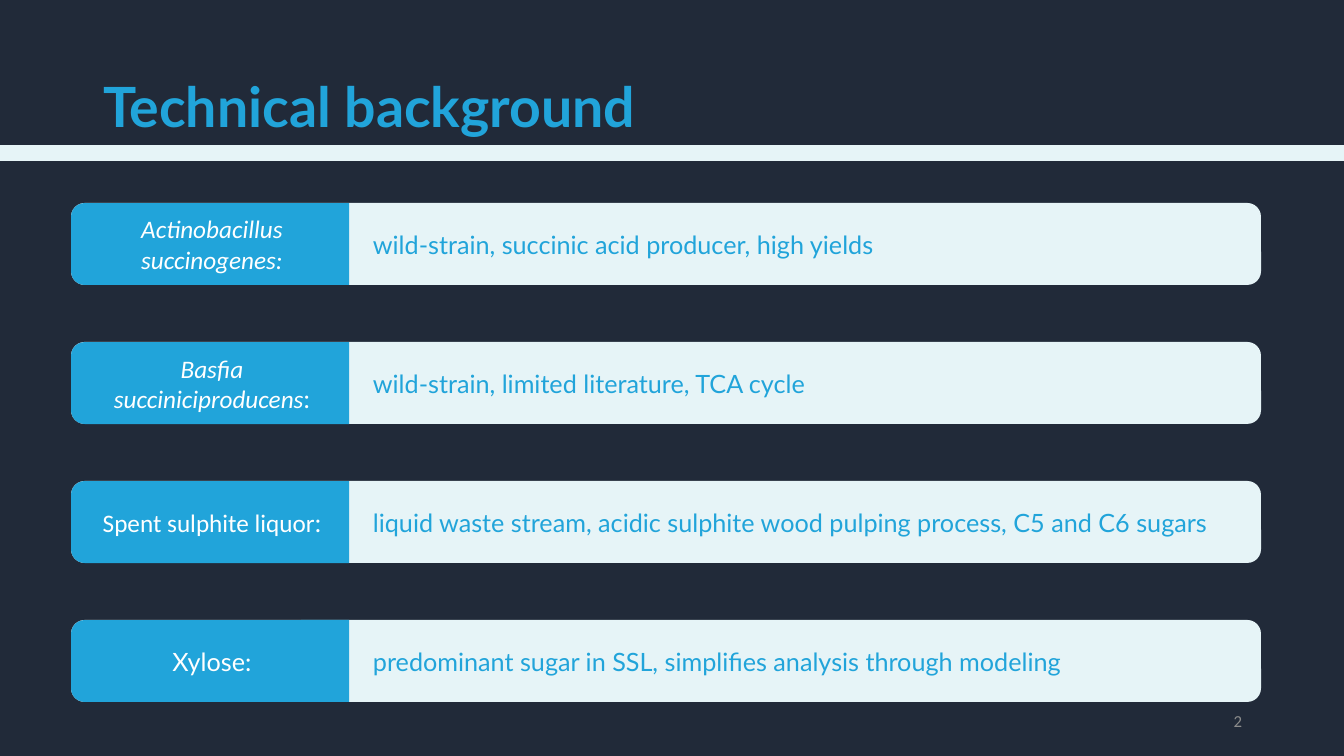
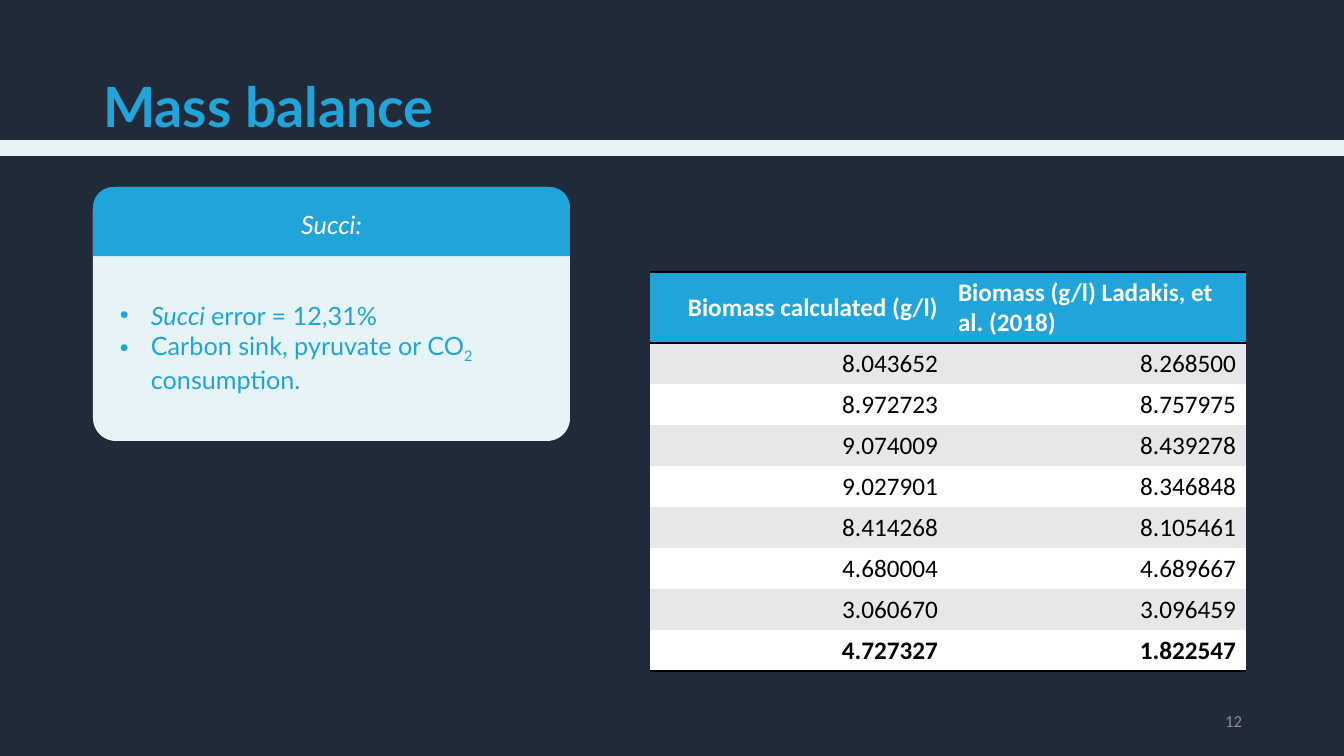
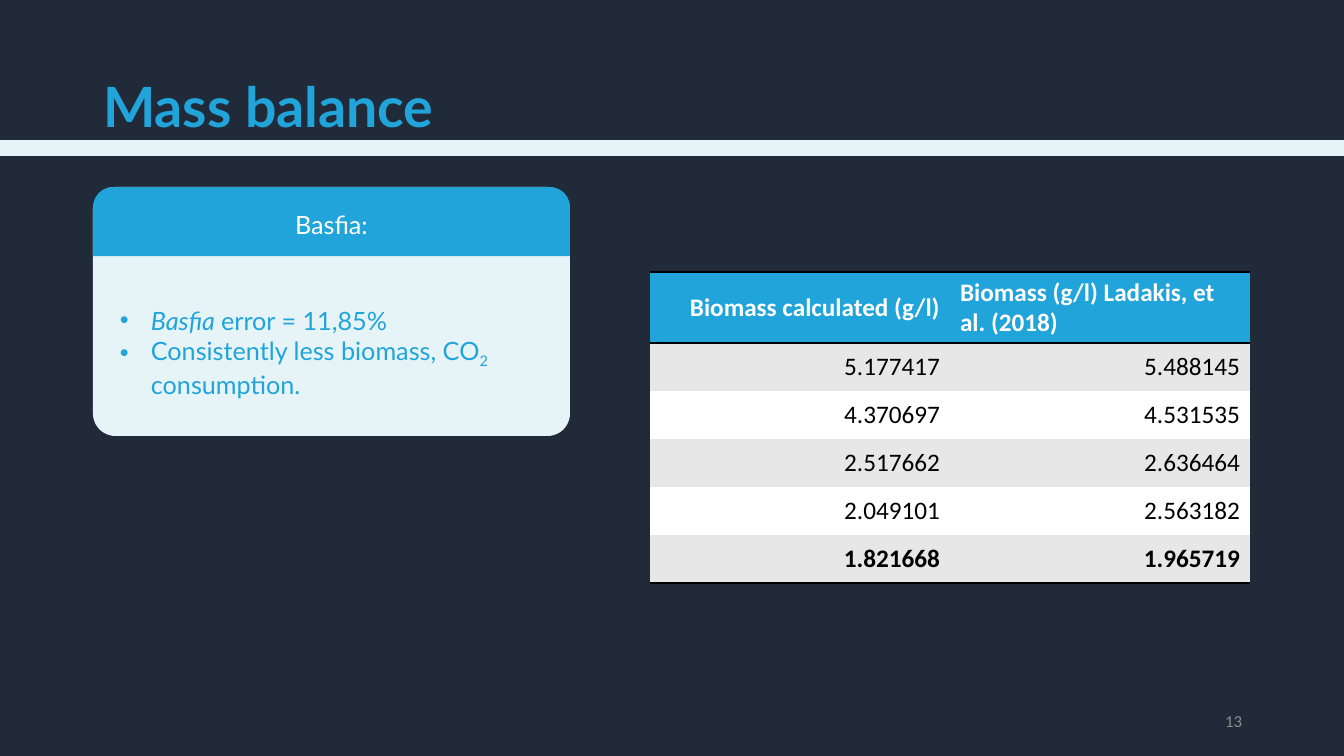
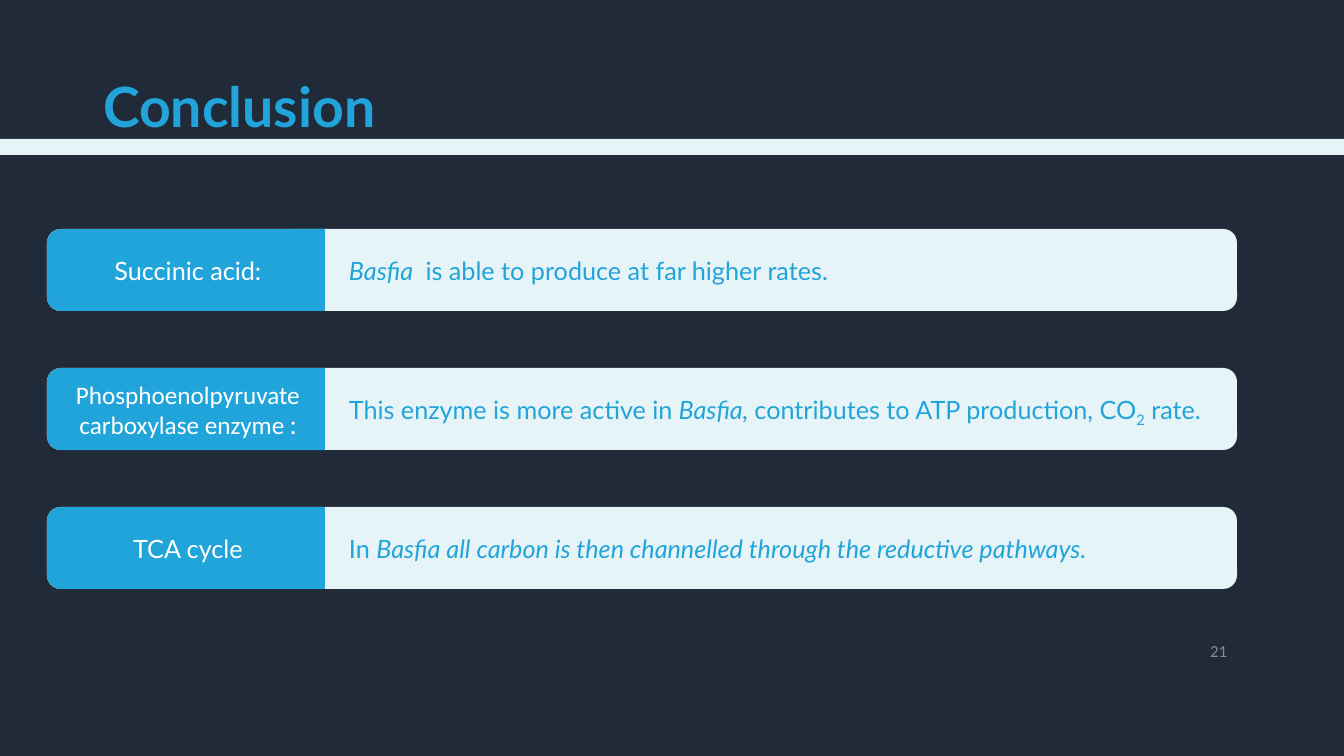
from lxml import etree
from pptx import Presentation
from pptx.dml.color import RGBColor
from pptx.enum.shapes import MSO_SHAPE
from pptx.enum.text import MSO_ANCHOR, MSO_AUTO_SIZE, PP_ALIGN
from pptx.oxml.ns import qn
from pptx.util import Pt

PX = 9071  # EMU per px, 100.8 px to the inch
NAVY = RGBColor(0x21, 0x2A, 0x39)
BLUE = RGBColor(0x21, 0xA4, 0xDA)
PALE = RGBColor(0xE6, 0xF4, 0xF7)
GREY = RGBColor(0x8C, 0x8C, 0x8C)
STRIPE = RGBColor(0xE7, 0xE7, 0xE7)
WHITE = RGBColor(0xFF, 0xFF, 0xFF)
BLACK = RGBColor(0x00, 0x00, 0x00)
LATO, CALIBRI = "Lato", "Calibri"
RECT = MSO_SHAPE.RECTANGLE
ROUND = MSO_SHAPE.ROUNDED_RECTANGLE
ROUND_TOP = MSO_SHAPE.ROUND_2_SAME_RECTANGLE
LEFT, CENTER, RIGHT = PP_ALIGN.LEFT, PP_ALIGN.CENTER, PP_ALIGN.RIGHT
MIDDLE, TOP = MSO_ANCHOR.MIDDLE, MSO_ANCHOR.TOP
NO_GRID_STYLE = "{2D5ABB26-0587-4C30-8999-92F81FD0307C}"


def add_box(s, kind, x, y, w, h, fill):
    sp = s.shapes.add_shape(kind, x * PX, y * PX, w * PX, h * PX)
    sp.shadow.inherit = False
    sp.fill.solid()
    sp.fill.fore_color.rgb = fill
    sp.line.fill.background()
    sp.text_frame.vertical_anchor = MIDDLE
    return sp


def add_runs(p, runs, color):
    """Marks of a run: i = italic, s = subscript, c = Calibri."""
    p.font.size = Pt(18)
    for text, marks in runs:
        r = p.add_run()
        r.text = text
        r.font.size = Pt(18)
        r.font.name = CALIBRI if "c" in marks else LATO
        r.font.color.rgb = color
        r.font.italic = "i" in marks
        if "s" in marks:
            r.font._element.set("baseline", "-25000")


prs = Presentation()
prs.slide_width, prs.slide_height = 1344 * PX, 756 * PX
background = prs.slide_master.background.fill
background.solid()
background.fore_color.rgb = NAVY

# Title, band and page number of every slide
frames = [
    # title, band top, page number, its left and top
    ("Technical background", 145, "2", 950, 701),
    ("Mass balance", 140, "12", 950, 701),
    ("Mass balance", 140, "13", 950, 701),
    ("Conclusion", 139, "21", 935, 631),
]
slides = []
for title, band_y, number, number_x, number_y in frames:
    s = prs.slides.add_slide(prs.slide_layouts[5])
    slides.append(s)
    add_box(s, RECT, -28, band_y, 1401, 16, PALE)

    sp = s.shapes.title
    sp.left, sp.top, sp.width, sp.height = 93 * PX, 40 * PX, 1159 * PX, 146 * PX
    tf = sp.text_frame
    tf.text = title
    tf.auto_size = MSO_AUTO_SIZE.NONE
    tf.vertical_anchor = MIDDLE
    tf.margin_bottom = 13 * PX
    p = tf.paragraphs[0]
    p.alignment = LEFT
    p.line_spacing = 0.9
    p.font.name, p.font.size, p.font.bold = LATO, Pt(39.6), True
    p.font.color.rgb = BLUE

    sp = s.shapes.add_textbox(number_x * PX, number_y * PX, 302 * PX, 40 * PX)
    tf = sp.text_frame
    tf.word_wrap = True
    tf.vertical_anchor = MIDDLE
    p = tf.paragraphs[0]
    p.text = number
    p.alignment = RIGHT
    p.font.name, p.font.size = CALIBRI, Pt(12)
    p.font.color.rgb = GREY

# Slides of labelled rows: left, top of first row, (label, text) pairs
background_rows = [
    ([("Actinobacillus\vsuccinogenes:", "ic")],
     [("wild-strain, succinic acid producer, high yields", "")]),
    ([("Basfia succiniciproducens", "ic"), (":", "")],
     [("wild-strain, limited literature, TCA cycle", "")]),
    ([("Spent sulphite liquor", "c"), (":", "")],
     [("liquid waste stream, acidic sulphite wood pulping process, "
       "C5 and C6 sugars", "")]),
    ([("Xylose:", "")],
     [("predominant sugar in SSL, simplifies analysis through modeling", "")]),
]
conclusion_rows = [
    ([("Succinic acid:", "")],
     [("Basfia ", "i"), (" is able to produce at far higher rates.", "")]),
    ([("Phosphoenolpyruvate carboxylase enzyme ", "c"), (":", "")],
     [("This enzyme is more active in", ""), (" Basfia, ", "i"),
      ("contributes to ATP production, CO", ""), ("2", "s"), (" rate.", "")]),
    ([("TCA cycle", "")],
     [("In ", ""),
      ("Basfia all carbon is then channelled through the reductive pathways.",
       "i")]),
]
ROW_W, ROW_H, ROW_PITCH, LABEL_W = 1190, 82, 139, 278
label_shift = (LABEL_W - ROW_H) // 2  # a label is an upright tab turned left
for s, x, first_y, rows in [(slides[0], 71, 203, background_rows),
                            (slides[3], 47, 229, conclusion_rows)]:
    for i, (label, text) in enumerate(rows):
        y = first_y + i * ROW_PITCH
        add_box(s, ROUND, x, y, ROW_W, ROW_H, PALE)

        sp = add_box(s, ROUND_TOP, x + label_shift, y - label_shift,
                     ROW_H, LABEL_W, BLUE)
        sp.rotation = 270
        tf = sp.text_frame
        tf._txBody.bodyPr.set("vert", "vert")
        p = tf.paragraphs[0]
        p.alignment = CENTER
        add_runs(p, label, WHITE)
        if "\v" in label[0][0]:
            # The first of two broken lines hangs to the left
            p.runs[0].text = ""
            p.text = label[0][0]
            p.font.name, p.font.italic = CALIBRI, True
            p.font.color.rgb = WHITE
            for r in p.runs:
                r.font.size = Pt(18)
            p._p.get_or_add_pPr().set("indent", str(-45 * PX))

        sp = s.shapes.add_textbox((x + 292) * PX, (y + 21) * PX,
                                  903 * PX, 40 * PX)
        sp.text_frame.word_wrap = True
        add_runs(sp.text_frame.paragraphs[0], text, BLUE)

# Slides with a card and a table
succi_bullets = [
    [("Succi ", "i"), ("error = 12,31%", "")],
    [("Carbon sink, pyruvate or CO", ""), ("2 ", "s"), ("consumption.", "")],
]
basfia_bullets = [
    [("Basfia ", "i"), ("error = 11,85%", "")],
    [("Consistently less biomass, CO", ""), ("2 ", "s"), ("consumption.", "")],
]
header = ("Biomass calculated (g/l)", "Biomass (g/l) Ladakis, et al. (2018)")
succi_values = [
    ("8.043652", "8.268500"), ("8.972723", "8.757975"),
    ("9.074009", "8.439278"), ("9.027901", "8.346848"),
    ("8.414268", "8.105461"), ("4.680004", "4.689667"),
    ("3.060670", "3.096459"), ("4.727327", "1.822547"),
]
basfia_values = [
    ("5.177417", "5.488145"), ("4.370697", "4.531535"),
    ("2.517662", "2.636464"), ("2.049101", "2.563182"),
    ("1.821668", "1.965719"),
]
CARD_X, CARD_Y, CARD_W, HEAD_H = 93, 187, 477, 69
balances = [
    # slide, card heading, card height, bullets and their top,
    # values, column width, row height
    (slides[1], ("Succi:", "i"), 254, succi_bullets, 295,
     succi_values, 298, 41),
    (slides[2], ("Basfia:", ""), 249, basfia_bullets, 300,
     basfia_values, 300, 48),
]
for s, heading, card_h, bullets, bullets_y, values, col_w, row_h in balances:
    # Card
    sp = add_box(s, ROUND, CARD_X, CARD_Y, CARD_W, card_h, PALE)
    sp.adjustments[0] = 0.09
    sp = add_box(s, ROUND_TOP, CARD_X, CARD_Y, CARD_W, HEAD_H, BLUE)
    sp.adjustments[0] = 0.29
    p = sp.text_frame.paragraphs[0]
    p.alignment = CENTER
    add_runs(p, [heading], WHITE)

    # Bullets
    sp = s.shapes.add_textbox(110 * PX, bullets_y * PX, 419 * PX, 105 * PX)
    tf = sp.text_frame
    tf.word_wrap = True
    for i, runs in enumerate(bullets):
        p = tf.add_paragraph() if i else tf.paragraphs[0]
        add_runs(p, runs, BLUE)
        pPr = p._p.get_or_add_pPr()
        pPr.set("marL", str(31 * PX))
        pPr.set("indent", str(-31 * PX))
        bullet_font = etree.Element(qn("a:buFont"), typeface="Arial")
        bullet = etree.Element(qn("a:buChar"), char="•")
        pPr.insert(0, bullet_font)
        pPr.insert(1, bullet)

    # Table
    rows = [header] + values
    last = len(rows) - 1
    head_h = 71
    table = s.shapes.add_table(len(rows), 2, 650 * PX, 272 * PX, 2 * col_w * PX,
                               (head_h + last * row_h) * PX).table
    table._tbl.tblPr.find(qn("a:tableStyleId")).text = NO_GRID_STYLE
    for i, row in enumerate(rows):
        table.rows[i].height = (row_h if i else head_h) * PX
        for j, text in enumerate(row):
            table.columns[j].width = col_w * PX
            cell = table.cell(i, j)
            is_citation = i == 0 and j == 1
            cell.vertical_anchor = TOP if is_citation else MIDDLE
            cell.fill.solid()
            cell.fill.fore_color.rgb = (
                BLUE if i == 0 else STRIPE if i % 2 else WHITE)
            p = cell.text_frame.paragraphs[0]
            p.text = text
            p.alignment = LEFT if is_citation else RIGHT
            p.font.name, p.font.size = CALIBRI, Pt(18)
            p.font.bold = i in (0, last)
            p.font.color.rgb = BLACK if i else WHITE

            # Rules above and below the header and under the last row
            sides = {0: ("a:lnT", "a:lnB"), last: ("a:lnB",)}.get(i, ())
            for k, side in enumerate(sides):
                ln = etree.Element(qn(side), w=str(Pt(2)))
                fill = etree.SubElement(ln, qn("a:solidFill"))
                etree.SubElement(fill, qn("a:srgbClr"), val=str(BLACK))
                cell._tc.get_or_add_tcPr().insert(k, ln)

prs.save("out.pptx")
